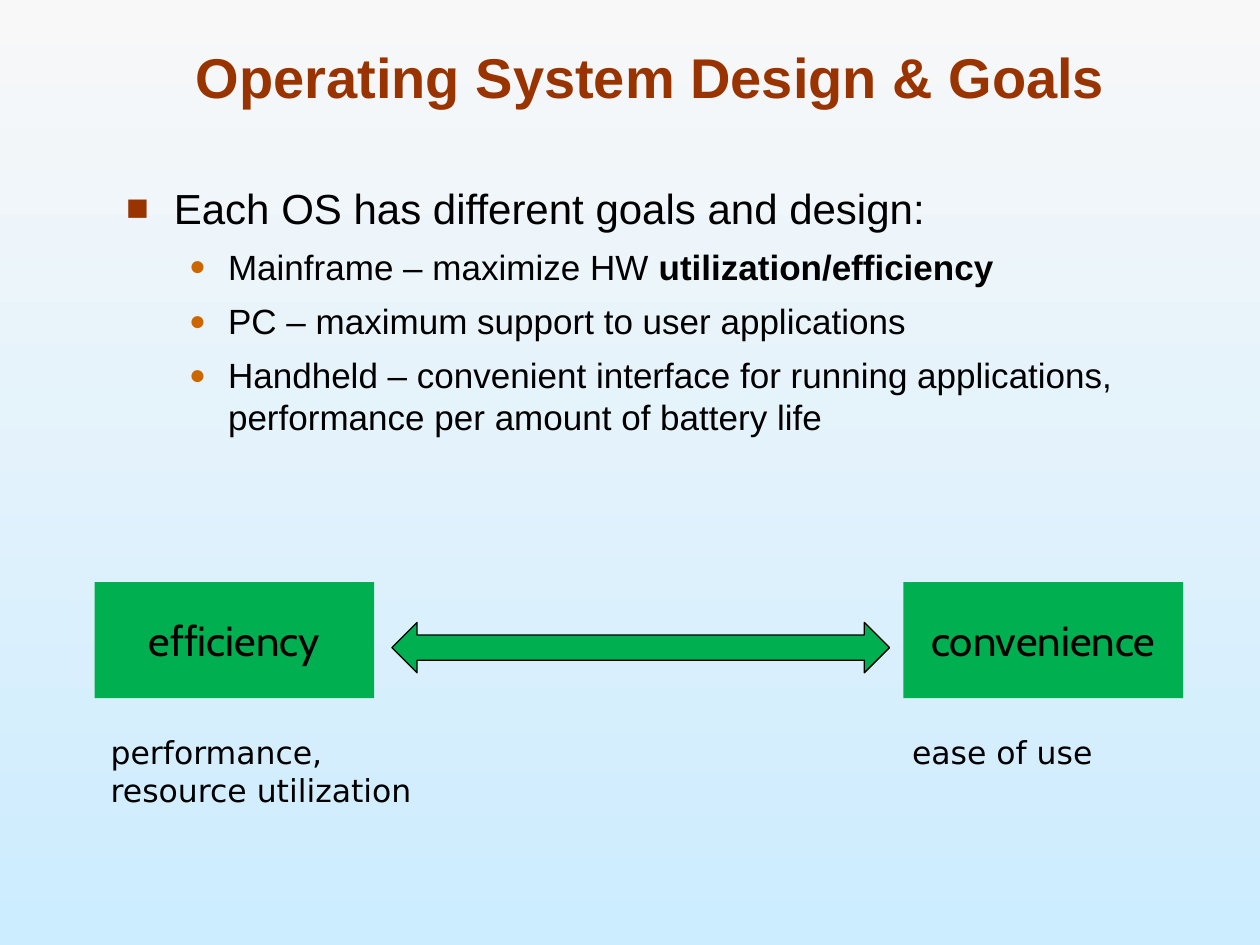
import dataclasses

import lxml.etree
import pptx
import pptx.dml.color
import pptx.enum.shapes
import pptx.enum.text
import pptx.oxml.ns
import pptx.util

ALIGN = pptx.enum.text.PP_ALIGN
ANCHOR = pptx.enum.text.MSO_ANCHOR
SHAPE = pptx.enum.shapes.MSO_SHAPE
COLUMNS, ROWS = 100, 75
WIDTH, HEIGHT = pptx.util.Inches(10), pptx.util.Inches(7.5)


@dataclasses.dataclass(frozen=True)
class Bullet:
    char: str
    color: str
    percent: int
    margin: float
    hanging: float
    size: int


@dataclasses.dataclass(frozen=True)
class Theme:
    sky: tuple = ("F8F8F8", "CCECFF")
    title: str = "993300"
    ink: str = "000000"
    green: str = "00B050"
    text_font: str = "Arial"
    box_font: str = "Cabin"
    note_font: str = "DejaVu Sans"
    title_size: int = 32
    box_size: int = 24
    note_size: int = 18
    outline: float = 0.75
    bullets: tuple = (
        Bullet("■", "993300", 90, 3.8, 3.8, 24),
        Bullet("●", "CC6600", 80, 8.1, 3.1, 20),
    )


THEME = Theme()

GOALS = [
    (0, [("Each OS has different goals and design:", False)]),
    (1, [("Mainframe – maximize HW ", False), ("utilization/efficiency", True)]),
    (1, [("PC – maximum support to user applications", False)]),
    (1, [("Handheld – convenient interface for running applications, "
          "performance per amount of battery life", False)]),
]


def rgb(value):
    return pptx.dml.color.RGBColor.from_string(value)


def across(columns):
    return round(WIDTH * columns / COLUMNS)


def down(rows):
    return round(HEIGHT * rows / ROWS)


def area(left, top, width, height):
    return across(left), down(top), across(width), down(height)


def move(shape, *cells):
    shape.left, shape.top, shape.width, shape.height = area(*cells)


def add_span(para, text, font, size, color=THEME.ink, bold=False):
    span = para.add_run()
    span.text = text
    span.font.name = font
    span.font.size = pptx.util.Pt(size)
    span.font.bold = bold
    span.font.color.rgb = rgb(color)


def add_property(parent, tag, **attributes):
    return lxml.etree.SubElement(parent, pptx.oxml.ns.qn(tag), attributes)


def format_bullet(para, bullet):
    properties = para._p.get_or_add_pPr()
    properties.set("marL", str(across(bullet.margin)))
    properties.set("indent", str(-across(bullet.hanging)))
    spacing = add_property(properties, "a:spcBef")
    add_property(spacing, "a:spcPct", val="35000")
    color = add_property(properties, "a:buClr")
    add_property(color, "a:srgbClr", val=bullet.color)
    add_property(properties, "a:buSzPct", val=str(bullet.percent * 1000))
    add_property(properties, "a:buFont", typeface=THEME.text_font)
    add_property(properties, "a:buChar", char=bullet.char)


def paint_background(page):
    fill = page.background.fill
    fill.gradient()
    fill.gradient_angle = 270
    for stop, position, color in zip(fill.gradient_stops, (0, 1), THEME.sky):
        stop.position = position
        stop.color.rgb = rgb(color)


def fill_title(page, text):
    title = page.shapes.title
    move(title, 7.5, 2.5, 88.3, 6.7)
    frame = title.text_frame
    frame.auto_size = pptx.enum.text.MSO_AUTO_SIZE.NONE
    frame.vertical_anchor = ANCHOR.BOTTOM
    para = frame.paragraphs[0]
    para.alignment = ALIGN.CENTER
    add_span(para, text, THEME.text_font, THEME.title_size, THEME.title, True)


def fill_body(page, items):
    body = page.placeholders[1]
    move(body, 9, 14, 80.4, 49)
    frame = body.text_frame
    frame.auto_size = pptx.enum.text.MSO_AUTO_SIZE.NONE
    for index, (level, spans) in enumerate(items):
        para = frame.add_paragraph() if index else frame.paragraphs[0]
        para.level = level
        bullet = THEME.bullets[level]
        format_bullet(para, bullet)
        for text, bold in spans:
            add_span(para, text, THEME.text_font, bullet.size, bold=bold)


def add_green_shape(page, kind, *cells):
    shape = page.shapes.add_shape(kind, *area(*cells))
    shape.shadow.inherit = False
    shape.fill.solid()
    shape.fill.fore_color.rgb = rgb(THEME.green)
    return shape


def add_box(page, left, text):
    box = add_green_shape(page, SHAPE.RECTANGLE, left, 46.2, 22.2, 9.2)
    box.line.fill.background()
    box.text_frame.vertical_anchor = ANCHOR.MIDDLE
    para = box.text_frame.paragraphs[0]
    para.alignment = ALIGN.CENTER
    add_span(para, text, THEME.box_font, THEME.box_size)


def add_arrow(page):
    arrow = add_green_shape(page, SHAPE.LEFT_RIGHT_ARROW, 31.1, 49.4, 39.5, 4)
    arrow.line.color.rgb = rgb(THEME.ink)
    arrow.line.width = pptx.util.Pt(THEME.outline)


def add_note(page, left, width, height, lines):
    note = page.shapes.add_textbox(*area(left, 57.7, width, height))
    frame = note.text_frame
    frame.word_wrap = False
    frame.auto_size = pptx.enum.text.MSO_AUTO_SIZE.SHAPE_TO_FIT_TEXT
    for index, line in enumerate(lines):
        para = frame.add_paragraph() if index else frame.paragraphs[0]
        add_span(para, line, THEME.note_font, THEME.note_size)


def main():
    deck = pptx.Presentation()
    deck.slide_width, deck.slide_height = WIDTH, HEIGHT
    page = deck.slides.add_slide(deck.slide_layouts[1])
    paint_background(page)
    fill_title(page, "Operating System Design & Goals")
    fill_body(page, GOALS)
    add_box(page, 71.7, "convenience")
    add_box(page, 7.5, "efficiency")
    add_arrow(page)
    add_note(page, 7.8, 27.1, 7.1, ["performance,", "resource utilization"])
    add_note(page, 71.4, 16.5, 4, ["ease of use"])
    deck.save("out.pptx")


if __name__ == "__main__":
    main()
